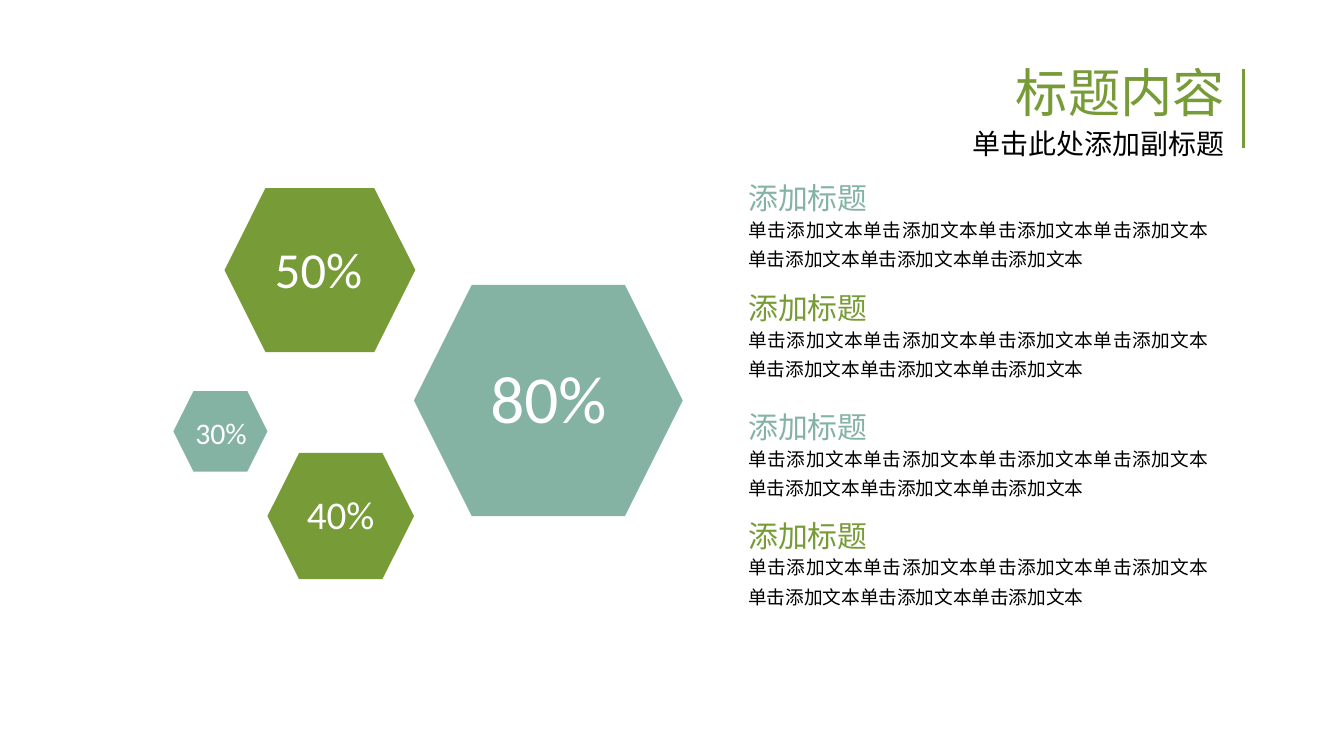
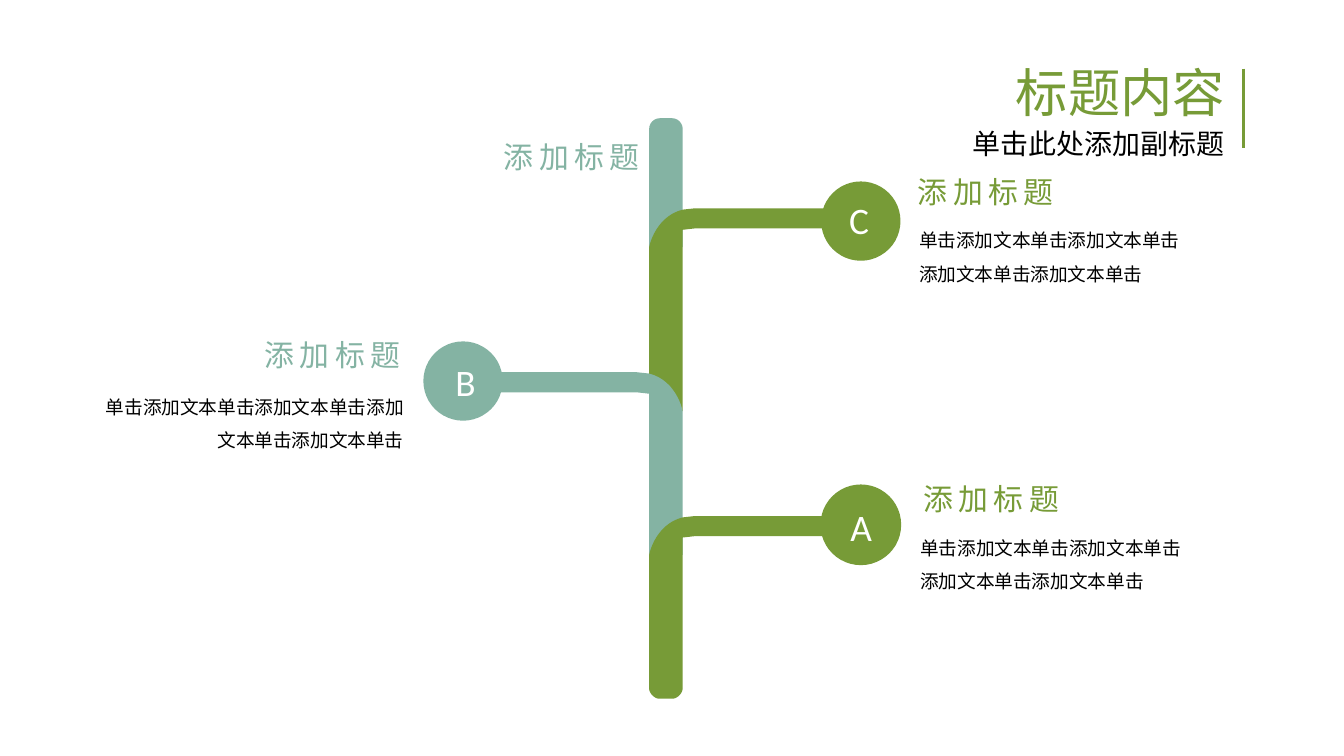
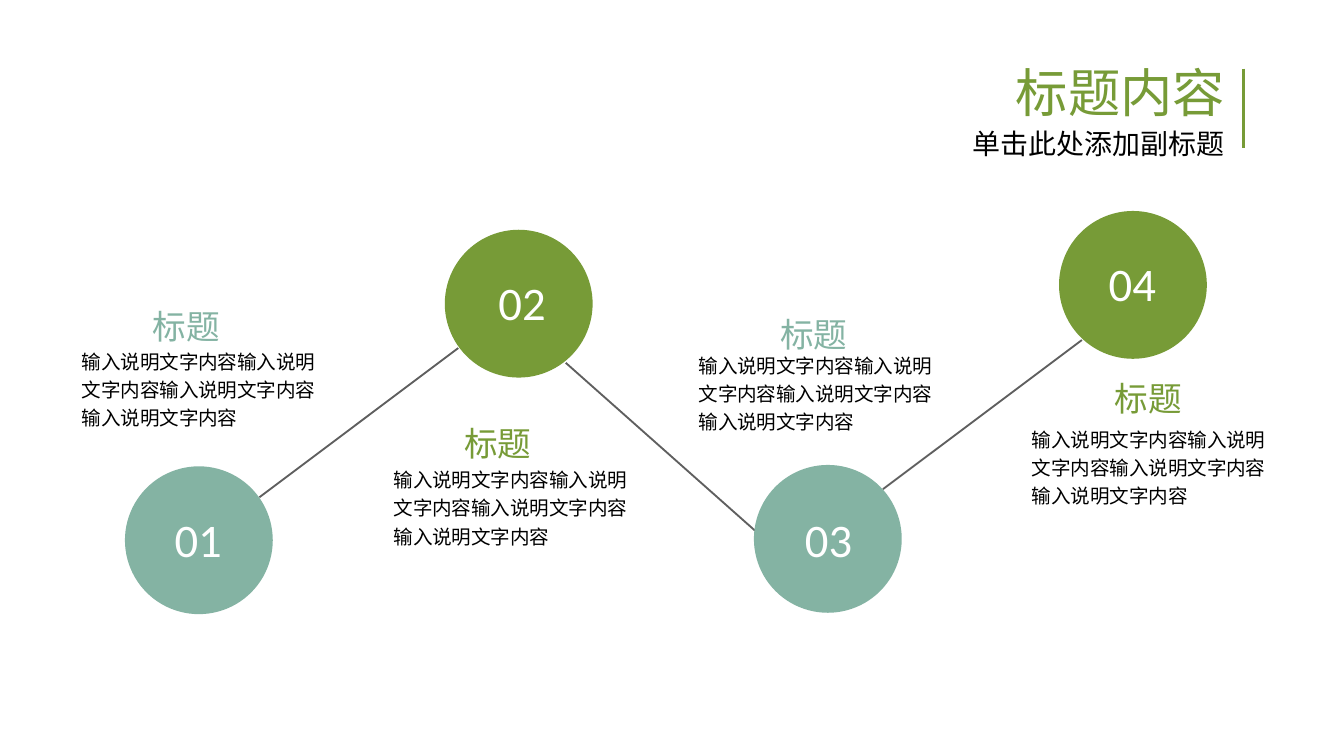
from dataclasses import dataclass

from lxml.etree import SubElement
from pptx import Presentation
from pptx.dml.color import RGBColor as RGB
from pptx.enum.shapes import MSO_CONNECTOR as CONN, MSO_SHAPE as SHAPE
from pptx.enum.text import MSO_AUTO_SIZE as AUTO, PP_ALIGN as ALIGN
from pptx.oxml.ns import qn
from pptx.util import Inches, Pt


@dataclass(frozen=True)
class Theme:
    font: str = "Calibri"
    green: RGB = RGB(0x77, 0x9B, 0x37)
    teal: RGB = RGB(0x84, 0xB3, 0xA3)
    gray: RGB = RGB(0x5F, 0x5F, 0x5F)
    black: RGB = RGB(0, 0, 0)
    white: RGB = RGB(255, 255, 255)
    title: float = 28
    subtitle: float = 15
    heading: float = 16
    step_heading: float = 18
    body: float = 10
    step_body: float = 10.5
    letter: float = 20
    number: float = 25


T = Theme()
TIGHT = 0.9
TRUNK_LEFT, TRUNK_RIGHT = 4.83, 5.08
SHOULDER = 0.29
ARM = 0.15
CORNER = 0.08


def add_text(s, at, text, size, color, grow=True, wrap=True, spacing=None, **para):
    """Add a one-paragraph box; para holds paragraph attributes."""
    tf = s.shapes.add_textbox(*map(Inches, at)).text_frame
    tf.word_wrap = wrap
    tf.auto_size = AUTO.SHAPE_TO_FIT_TEXT if grow else AUTO.NONE
    p = tf.paragraphs[0]
    for name, value in para.items():
        setattr(p, name, value)
    r = p.add_run()
    r.text = text
    for name, value in {"name": T.font, "size": Pt(size)}.items():
        setattr(r.font, name, value)
    r.font.color.rgb = color
    if spacing:
        r._r.get_or_add_rPr().set("spc", str(spacing * 100))


def paint(sp, color, line=None):
    sp.shadow.inherit = False
    sp.fill.solid()
    sp.fill.fore_color.rgb = color
    if line:
        sp.line.color.rgb = color
        sp.line.width = Pt(line)
    else:
        sp.line.fill.background()


def add_shape(s, kind, at, color, line=None):
    sp = s.shapes.add_shape(kind, *map(Inches, at))
    paint(sp, color, line)
    return sp


def add_line(s, start, end, color, width):
    c = s.shapes.add_connector(CONN.STRAIGHT, *map(Inches, start + end))
    c.line.color.rgb = color
    c.line.width = Pt(width)
    SubElement(c._element.spPr, qn("a:effectLst"))


def add_header(s):
    style = {"grow": False, "alignment": ALIGN.RIGHT, "line_spacing": TIGHT}
    add_text(s, (5.39, 0.45, 3.82, 0.5), "标题内容", T.title, T.green, **style)
    add_text(s, (5.39, 0.92, 3.82, 0.4), "单击此处添加副标题", T.subtitle, T.black, **style)
    add_line(s, (9.25, 0.51), (9.25, 1.1), T.green, 1.5)


def bezier(p0, p1, p2, p3, steps=12):
    """Points along a cubic curve, both ends included."""
    points = []
    for i in range(steps + 1):
        t = i / steps
        weights = ((1 - t) ** 3, 3 * t * (1 - t) ** 2, 3 * t * t * (1 - t), t ** 3)
        points.append(tuple(sum(w * p[axis] for w, p in zip(weights, (p0, p1, p2, p3)))
                            for axis in (0, 1)))
    return points


def add_branch(s, top, foot, color, to_left=False, rounded=False):
    """A piece of trunk down to foot, with an arm leaving it at top."""
    left, right, tip = TRUNK_LEFT, TRUNK_RIGHT, 6.47
    points = [(tip, top), (5.17, top)]
    points += bezier((right, top + 0.01), (4.92, top + 0.05),
                     (4.85, top + 0.2), (left, top + SHOULDER))
    if rounded:
        rise = foot - CORNER
        points += bezier((left, rise), (left, foot - 0.04), (left + 0.04, foot), (left + CORNER, foot))
        points += bezier((right - CORNER, foot), (right - 0.04, foot), (right, foot - 0.04), (right, rise))
    else:
        points += [(left, foot), (right, foot)]
    points += [(right, top + ARM + 0.01), (5.17, top + ARM), (tip, top + ARM)]
    if to_left:
        points = [(left + right - x, y) for x, y in points]
    points = [(Inches(x), Inches(y)) for x, y in points]
    builder = s.shapes.build_freeform(*points[0])
    builder.add_line_segments(points[1:])
    paint(builder.convert_to_shape(), color)


def hexagon_slide(s):
    hexagons = [
        ((1.29, 2.91, 0.7, 0.6), T.teal, "30%", 16, (1.28, 3.07, 0.73, 0.34)),
        ((1.99, 3.37, 1.09, 0.94), T.green, "40%", 21, (2.07, 3.64, 0.93, 0.42)),
        ((3.08, 2.12, 2, 1.72), T.teal, "80%", 36, (3.39, 2.67, 1.38, 0.65)),
        ((1.67, 1.4, 1.42, 1.22), T.green, "50%", 27, (1.68, 1.77, 1.38, 0.51)),
    ]
    for at, color, share, size, label_at in hexagons:
        add_shape(s, SHAPE.HEXAGON, at, color)
        add_text(s, label_at, share, size, T.white,
                 alignment=ALIGN.CENTER, line_spacing=TIGHT)
    for top, color in [(1.32, T.teal), (2.14, T.green), (3.02, T.teal), (3.83, T.green)]:
        add_text(s, (5.47, top, 1.9, 0.34), "添加标题", T.heading, color,
                 alignment=ALIGN.JUSTIFY, line_spacing=TIGHT)
        add_text(s, (5.47, top + 0.21, 3.62, 0.54), "单击添加文本" * 7, T.body, T.black,
                 alignment=ALIGN.JUSTIFY, line_spacing=1.3)


def branch_slide(s):
    c_top, b_top, a_top = 1.55, 2.77, 3.84
    cap_top, width = 0.88, TRUNK_RIGHT - TRUNK_LEFT
    cap = add_shape(s, SHAPE.ROUND_2_SAME_RECTANGLE,
                    (TRUNK_LEFT, cap_top, width, c_top + SHOULDER - cap_top), T.teal)
    cap.adjustments[0] = CORNER / width
    add_branch(s, c_top, b_top + SHOULDER, T.green)
    add_branch(s, b_top, a_top + SHOULDER, T.teal, to_left=True)
    add_branch(s, a_top, 5.2, T.green, rounded=True)

    def add_heading(left, top, color, align=ALIGN.CENTER):
        add_text(s, (left, top, 1.27, 0.37), "添加标题", T.heading, color,
                 wrap=False, spacing=3, alignment=align)

    add_heading(3.62, 0.98, T.teal)
    nodes = [
        ("C", (6.11, 1.35), (6.22, 1.42), T.green, None,
         (6.73, 1.24), ALIGN.LEFT, (6.74, 1.57, 2.16, 0.61), ALIGN.LEFT),
        ("B", (3.15, 2.54), (3.29, 2.62), T.teal, None,
         (1.84, 2.46), ALIGN.CENTER, (0.67, 2.81, 2.43, 0.61), ALIGN.RIGHT),
        ("A", (6.11, 3.61), (6.23, 3.7), T.green, 0.75,
         (6.74, 3.53), ALIGN.CENTER, (6.75, 3.86, 2.16, 0.61), ALIGN.LEFT),
    ]
    for letter, dot, label, color, line, head, head_align, body_at, body_align in nodes:
        add_shape(s, SHAPE.OVAL, dot + (0.59, 0.59), color, line)
        add_text(s, label + (0.34, 0.44), letter, T.letter, T.white,
                 wrap=False, alignment=ALIGN.CENTER)
        add_heading(*head, color, head_align)
        add_text(s, body_at, "单击添加文本" * 4 + "单击", T.body, T.black,
                 alignment=body_align, line_spacing=1.5)


def steps_slide(s):
    links = [((8.05, 2.53), (6.57, 3.64)), ((3.41, 2.59), (1.93, 3.7)),
             ((4.21, 2.7), (5.62, 3.95))]
    for start, end in links:
        add_line(s, start, end, T.gray, 1)
    steps = [
        ((0.93, 3.47), (1.14, 3.75), T.teal, (0.51, 2.23), (0.51, 2.52)),
        ((3.31, 1.71), (3.55, 1.99), T.green, (2.83, 3.1), (2.83, 3.4)),
        ((5.61, 3.46), (5.83, 3.75), T.teal, (5.18, 2.29), (5.1, 2.55)),
        ((7.88, 1.57), (8.09, 1.85), T.green, (7.67, 2.76), (7.58, 3.1)),
    ]
    for i, (dot, label, color, head, body) in enumerate(steps, 1):
        add_text(s, head + (1.75, 0.4), "标题", T.step_heading, color, alignment=ALIGN.CENTER)
        add_text(s, body + (2.01, 0.74), "输入说明文字内容" * 4, T.step_body, T.black,
                 line_spacing=1.2)
        add_shape(s, SHAPE.OVAL, dot + (1.1, 1.1), color)
        add_text(s, label + (0.67, 0.52), f"{i:02}", T.number, T.white, alignment=ALIGN.CENTER)


def main():
    prs = Presentation()
    prs.slide_width = Inches(10)
    prs.slide_height = prs.slide_width * 9 // 16
    for fill_slide in (hexagon_slide, branch_slide, steps_slide):
        s = prs.slides.add_slide(prs.slide_layouts[6])
        add_header(s)
        fill_slide(s)
    prs.save("out.pptx")


if __name__ == "__main__":
    main()
